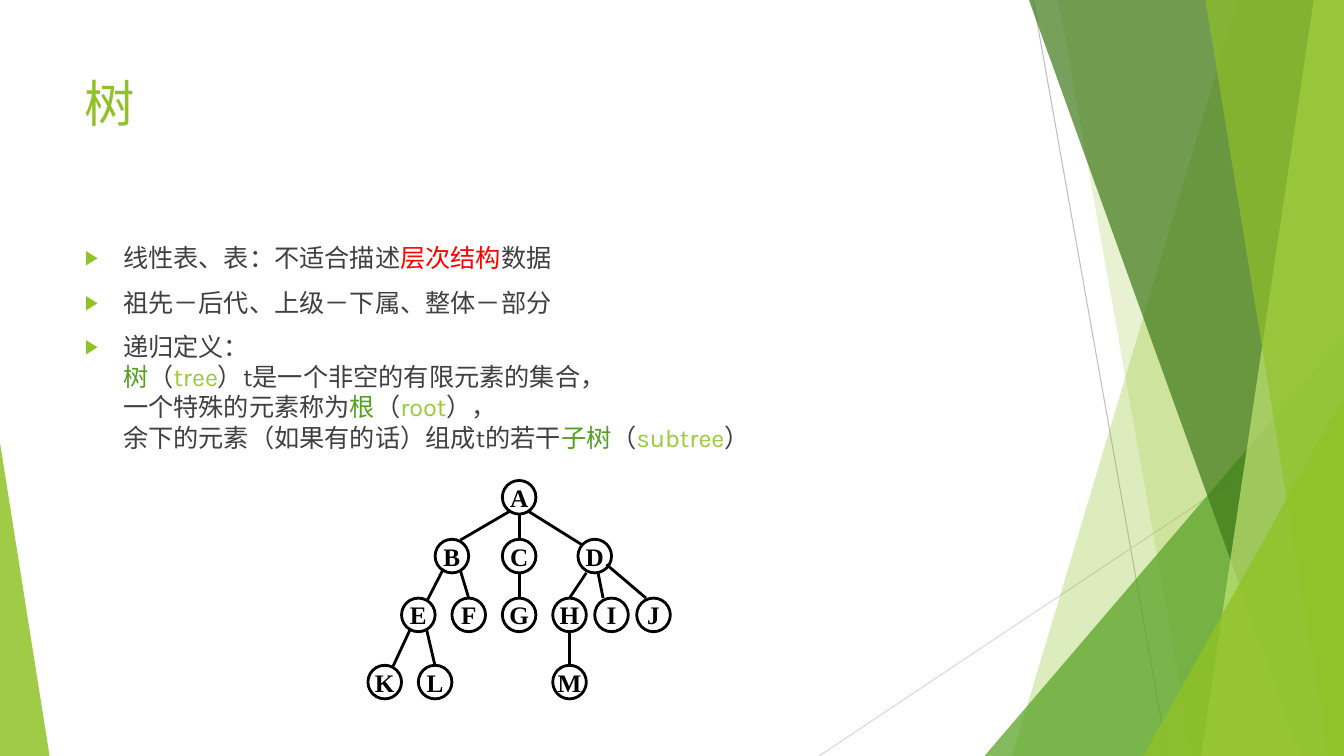
"""Builds the slide that introduces trees: a recursive definition above a sample tree."""
from lxml import etree
from pptx import Presentation
from pptx.dml.color import RGBColor
from pptx.enum.dml import MSO_FILL
from pptx.enum.shapes import MSO_CONNECTOR, MSO_SHAPE
from pptx.enum.text import MSO_ANCHOR, MSO_AUTO_SIZE, PP_ALIGN
from pptx.oxml.ns import qn
from pptx.util import Inches, Pt

STRAIGHT = MSO_CONNECTOR.STRAIGHT
SOLID = MSO_FILL.SOLID
TRIANGLE, OVAL = MSO_SHAPE.ISOSCELES_TRIANGLE, MSO_SHAPE.OVAL
TOP, MIDDLE = MSO_ANCHOR.TOP, MSO_ANCHOR.MIDDLE
LEFT, CENTER = PP_ALIGN.LEFT, PP_ALIGN.CENTER

COLORS = {
    "green": "90C226", "leaf": "54A021", "forest": "3F7819", "lime": "C0E474",
    "term": "99CA3C", "text": "404040", "red": "FF0000", "black": "000000",
    "gray": "BFBFBF", "pale": "D9D9D9",
}
COLUMNS, ROWS = 160, 90
CELL = Inches(1 / 12)


def draw_line(group, start, end, color, width):
    points = [round(value * CELL) for value in (*start, *end)]
    line = group.shapes.add_connector(STRAIGHT, *points)
    line.line.color.rgb = RGBColor.from_string(COLORS[color])
    line.line.width = Pt(width)
    etree.SubElement(line._element.spPr, qn("a:effectLst"))


def add_run(paragraph, text, color, size, font="Karla", bold=False):
    run = paragraph.add_run()
    run.text = text
    run.font.name = font
    run.font.size = Pt(size)
    run.font.bold = bold
    run.font.color.rgb = RGBColor.from_string(COLORS[color])


prs = Presentation()
prs.slide_width, prs.slide_height = COLUMNS * CELL, ROWS * CELL
slide = prs.slides.add_slide(prs.slide_layouts[1])

backdrop = slide.shapes.add_group_shape()
draw_line(backdrop, (123, 0), (139, ROWS), "gray", 0.75)
draw_line(backdrop, (COLUMNS, 48.4), (97.5, ROWS), "pale", 0.75)

facets = [
    ("band", (147.4, 120.5), "green", 30),
    ("band", (126, 142), "green", 20),
    ("triangle", (117.2, COLUMNS, 40, 1), "leaf", 72),
    ("band", (122.5, 154.9), "forest", 70),
    ("band", (156.4, 143), "lime", 70),
    ("band", (143.5, 158.2), "green", 65),
    ("triangle", (136.1, COLUMNS, 47.2, 1), "green", 80),
    ("triangle", (0, 5.9, 52.7, 0), "green", 85),
]
for outline, edges, color, opacity in facets:
    if outline == "band":
        top_x, bottom_x = edges
        corners = [(COLUMNS, 0), (COLUMNS, ROWS), (bottom_x, ROWS)]
        builder = backdrop.shapes.build_freeform(round(top_x * CELL), 0)
        builder.add_line_segments([(x * CELL, y * CELL) for x, y in corners])
        facet = builder.convert_to_shape()
    else:
        left, right, top, apex = edges
        box = (left, top, right - left, ROWS - top)
        facet = backdrop.shapes.add_shape(TRIANGLE, *[round(v * CELL) for v in box])
        facet.adjustments[0] = apex
    facet.shadow.inherit = False
    facet.line.fill.background()
    facet.fill.solid()
    facet.fill.fore_color.rgb = RGBColor.from_string(COLORS[color])
    fill_color = facet._element.spPr.find(".//" + qn("a:srgbClr"))
    etree.SubElement(fill_color, qn("a:alpha"), val=str(opacity * 1000))

heading, definition = slide.shapes.title, slide.placeholders[1]
for holder, top, height in [(heading, 8, 17.3), (definition, 28.3, 50.9)]:
    holder.left, holder.top = round(8.9 * CELL), round(top * CELL)
    holder.width, holder.height = round(112.8 * CELL), round(height * CELL)
    holder.text_frame.vertical_anchor = TOP
    holder.text_frame.auto_size = MSO_AUTO_SIZE.NONE
    holder.text_frame.word_wrap = True
heading.text_frame.paragraphs[0].alignment = LEFT
add_run(heading.text_frame.paragraphs[0], "树", "green", 36)

points = [
    [[("线性表、表：不适合描述", "text"), ("层次结构", "red"), ("数据", "text")]],
    [[("祖先－后代、上级－下属、整体－部分", "text")]],
    [
        [("递归定义：", "text")],
        [("树", "leaf"), ("（", "text"), ("tree", "term"),
         ("）t是一个非空的有限元素的集合，", "text")],
        [("一个特殊的元素称为", "text"), ("根", "leaf"), ("（", "text"),
         ("root", "term"), ("），", "text")],
        [("余下的元素（如果有的话）组成t的若干", "text"), ("子树", "leaf"),
         ("（", "text"), ("subtree", "term"), ("）", "text")],
    ],
]
for index, lines in enumerate(points):
    frame = definition.text_frame
    point = frame.add_paragraph() if index else frame.paragraphs[0]
    props = point._p.get_or_add_pPr()
    props.set("marL", str(Inches(0.38)))
    props.set("indent", str(-Inches(0.38)))
    bullet_color = etree.SubElement(props, qn("a:buClr"))
    etree.SubElement(bullet_color, qn("a:srgbClr"), val=COLORS["green"])
    etree.SubElement(props, qn("a:buSzPct"), val="80000")
    etree.SubElement(props, qn("a:buChar"), char="▶")
    point.space_before = Pt(10 if index else 0)
    for number, line in enumerate(lines):
        if number:
            point.add_line_break()
        for text, color in line:
            add_run(point, text, color, 18)

ROOT_X, ROOT_Y, RADIUS = 61.8, 59.2, 2
levels = [
    (0, {"A": 0}),
    (7, {"B": -8, "C": 0, "D": 9}),
    (14, {"E": -12, "F": -6, "G": 0, "H": 6, "I": 11, "J": 16}),
    (22, {"K": -16, "L": -10, "M": 6}),
]
tree = slide.shapes.add_group_shape()
centers = {}
for depth, members in levels:
    for label, offset in members.items():
        x, y = centers[label] = (ROOT_X + offset, ROOT_Y + depth)
        box = (x - RADIUS, y - RADIUS, 2 * RADIUS, 2 * RADIUS)
        node = tree.shapes.add_shape(OVAL, *[round(v * CELL) for v in box])
        node.shadow.inherit = False
        node.fill.background()
        node.line.color.rgb = RGBColor.from_string(COLORS["black"])
        node.line.width = Pt(2)
        frame = node.text_frame
        frame.margin_left = frame.margin_right = 0
        frame.margin_top = frame.margin_bottom = 0
        frame.word_wrap = False
        frame.vertical_anchor = MIDDLE
        frame.paragraphs[0].alignment = CENTER
        add_run(frame.paragraphs[0], label, "black", 18, "Times New Roman", True)

branches = [
    ("AC", (0, 2), (0, -2)), ("CG", (0, 2), (0, -2)), ("HM", (0, 2), (0, -2)),
    ("AB", (-1, 1.6), (1, -1.9)), ("AD", (1, 1.6), (-1.6, -1.4)),
    ("BE", (-1, 1.5), (1, -1.6)), ("BF", (1, 1.7), (0, -2)),
    ("EK", (-1, 1.8), (1, -1.9)), ("EL", (1, 1.8), (0, -1.9)),
    ("DH", (-1, 2), (0, -2)), ("DI", (0.4, 2), (-1, -2)),
    ("DJ", (1.4, 1), (-0.9, -2)),
]
for (parent, child), leave, arrive in branches:
    start = [c + d for c, d in zip(centers[parent], leave)]
    end = [c + d for c, d in zip(centers[child], arrive)]
    draw_line(tree, start, end, "black", 2)

prs.save("out.pptx")
